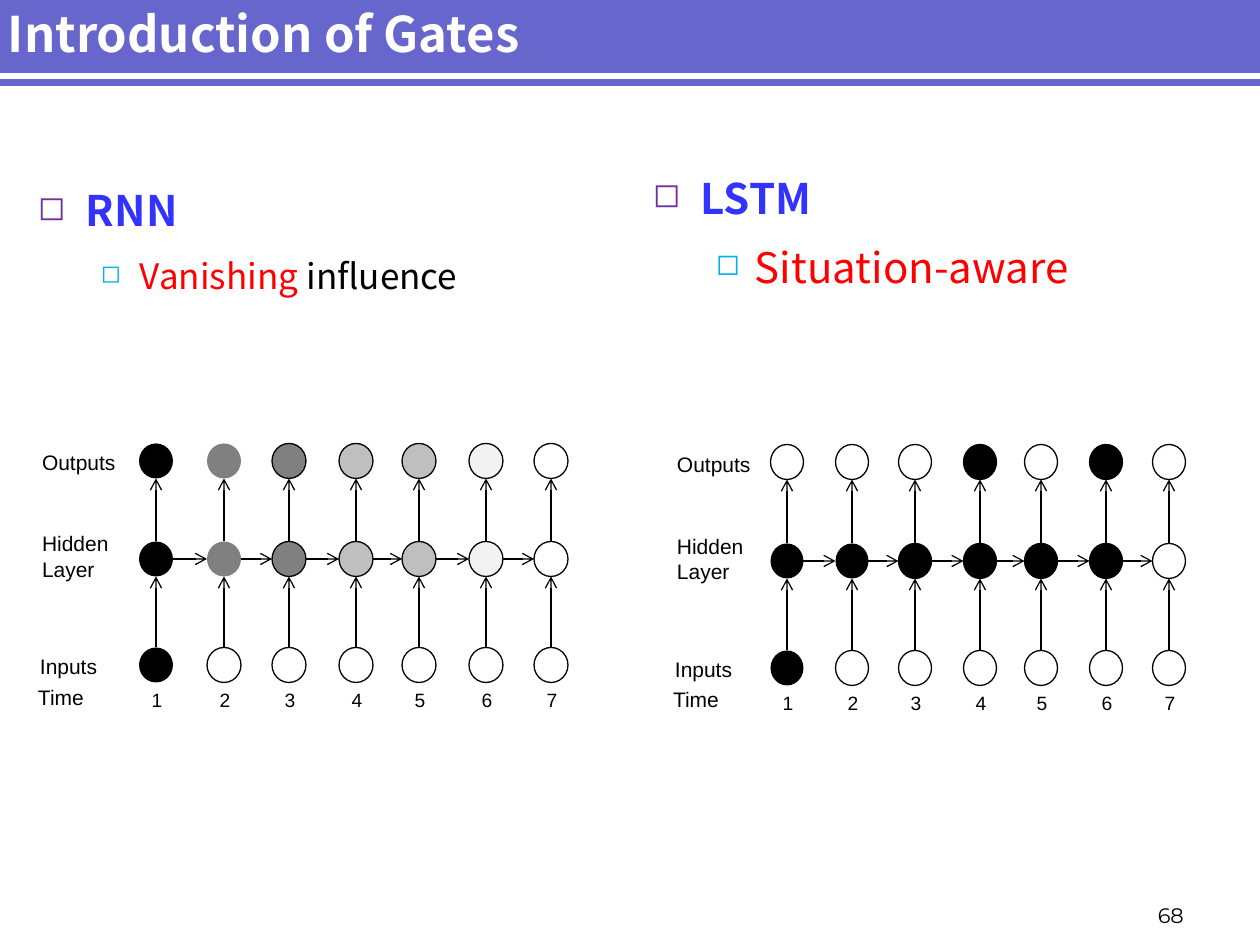
import pptx
import pptx.util
import pptx.dml.color
import pptx.oxml.ns
import pptx.enum.shapes
import pptx.enum.text
from lxml import etree

SCALE = 914400 / 126
SANS = "Noto Sans CJK SC"
SHAPE = pptx.enum.shapes.MSO_SHAPE
ALIGN = pptx.enum.text.PP_ALIGN
ANCHOR = pptx.enum.text.MSO_ANCHOR
BLACK, WHITE, RED, BAND = "000000", "FFFFFF", "FF0000", "6666CC"
NODE = 35
GREYS = [BLACK, "808080", "808080", "BFBFBF", "BFBFBF", "F2F2F2", WHITE]


def px(*vals):
    """Turn pixel lengths into EMU."""
    return [pptx.util.Emu(round(v * SCALE)) for v in vals]


def color(code):
    return pptx.dml.color.RGBColor.from_string(code)


def sub(parent, tag, **attrs):
    """Append an element of the drawing namespace."""
    return etree.SubElement(parent, pptx.oxml.ns.qn("a:" + tag), attrs)


def write(par, text, size=12, font="Arial", hue=BLACK, bold=False):
    run = par.add_run()
    run.text = text
    run.font.size = pptx.util.Pt(size)
    run.font.name = font
    run.font.bold = bold
    run.font.color.rgb = color(hue)
    for tag in ("ea", "sym"):
        sub(run.font._element, tag, typeface=font)


def setup(frame, side=13, edge=6, anchor=ANCHOR.TOP):
    """Set wrapping, insets and anchor of a text frame."""
    frame.word_wrap = True
    frame.auto_size = pptx.enum.text.MSO_AUTO_SIZE.NONE
    frame.margin_left, frame.margin_right = px(side, side)
    frame.margin_top, frame.margin_bottom = px(edge, edge)
    frame.vertical_anchor = anchor


def label(shapes, text, area, align=ALIGN.LEFT, side=13, anchor=ANCHOR.TOP, **look):
    frame = shapes.add_textbox(*px(*area)).text_frame
    setup(frame, side=side, anchor=anchor)
    par = frame.paragraphs[0]
    par.alignment = align
    write(par, text, **look)


def bullet(par, hue, size, left, hang):
    props = par._p.get_or_add_pPr()
    props.set("marL", str(px(left)[0]))
    props.set("indent", str(px(-hang)[0]))
    sub(sub(props, "buClr"), "srgbClr", val=hue)
    sub(props, "buSzPct", val=str(size * 1000))
    sub(props, "buChar", char="◻")


def points(shapes, area, head, runs, size):
    """Add a bulleted heading with one sub-point made of coloured runs."""
    frame = shapes.add_textbox(*px(*area)).text_frame
    setup(frame, side=0, edge=0)
    top, item = frame.paragraphs[0], frame.add_paragraph()
    bullet(top, "7030A0", 80, 48, 48)
    top.space_after = pptx.util.Pt(11)
    write(top, head, size=24, font=SANS, hue="3333FF", bold=True)
    item.level = 1
    bullet(item, "00B0F0", 70, 102, 39)
    for text, hue in runs:
        write(item, text, size=size, font=SANS, hue=hue)


def line(shapes, ends, hue=BLACK, width=0.75, arrow=True):
    link = shapes.add_connector(pptx.enum.shapes.MSO_CONNECTOR.STRAIGHT, *px(*ends))
    link.line.color.rgb = color(hue)
    link.line.width = pptx.util.Pt(width)
    if arrow:
        sub(link.line._get_or_add_ln(), "tailEnd", type="arrow")
    sub(link._element.spPr, "effectLst")


def solid(shapes, kind, area, fill=None, edge=None):
    shape = shapes.add_shape(kind, *px(*area))
    shape.shadow.inherit = False
    if fill:
        shape.fill.solid()
        shape.fill.fore_color.rgb = color(fill)
    else:
        shape.fill.background()
    if edge:
        shape.line.color.rgb = color(edge)
        shape.line.width = pptx.util.Pt(0.75)
    else:
        shape.line.fill.background()


def network(slide, left, wide, cols, rows, fills):
    """Draw an unrolled network: outputs, hidden layer and inputs over time."""
    shapes = slide.shapes.add_group_shape().shapes
    half, tall = wide / 2, NODE / 2
    for y, row in zip(rows, fills):
        for i, (x, fill) in enumerate(zip(cols, row)):
            edge = None if fill and i < 2 else BLACK
            solid(shapes, SHAPE.FLOWCHART_CONNECTOR,
                  (x - half, y - tall, wide, NODE), fill, edge)
    for x in cols:
        for high, low in zip(rows, rows[1:]):
            line(shapes, (x, low - tall, x, high + tall))
    for x, after in zip(cols, cols[1:]):
        line(shapes, (x + half, rows[1], after - half, rows[1]))
    for i, x in enumerate(cols, 1):
        label(shapes, str(i), (x + 1 - half, rows[2] + 17, wide, 39),
              align=ALIGN.CENTER, side=0, size=11)
    out, mid, base = rows
    for text, x, y, tall in (("Outputs", 4, out - 17, 42), ("Hidden Layer", 4, mid - 34, 71),
                             ("Inputs", 2, base - 17, 42), ("Time", 0, base + 13, 42)):
        label(shapes, text, (left + x, y, 121, tall))


def header(slide, text):
    shapes = slide.shapes
    solid(shapes, SHAPE.RECTANGLE, (-5, -4, 1265, 90), BAND)
    line(shapes, (-5, 76, 1260, 76), hue=WHITE, width=3, arrow=False)
    title = shapes.title
    title.left, title.top, title.width, title.height = px(-5, 6, 1105, 54)
    setup(title.text_frame, anchor=ANCHOR.MIDDLE)
    par = title.text_frame.paragraphs[0]
    par.alignment = ALIGN.LEFT
    write(par, text, size=28, font=SANS, hue=WHITE, bold=True)
    title.element.getparent().append(title.element)


def main():
    deck = pptx.Presentation()
    deck.slide_width, deck.slide_height = px(1260, 945)
    slide = deck.slides.add_slide(deck.slide_layouts[5])
    header(slide, "Introduction of Gates")
    points(slide.shapes, (38, 185, 570, 160), "RNN",
           [("Vanishing", RED), (" influence", BLACK)], 20)
    points(slide.shapes, (653, 172, 570, 160), "LSTM", [("Situation-aware", RED)], 24)
    first = [BLACK] + [None] * 6
    network(slide, 25, 34, [156, 224, 289, 356, 419, 486, 551], [461, 559, 665],
            [GREYS, GREYS, first])
    gated = [None, None, None, BLACK, None, BLACK, None]
    network(slide, 660, 33, [787, 852, 915, 980, 1041, 1106, 1169], [462, 561, 668],
            [gated, [BLACK] * 6 + [WHITE], first])
    label(slide.shapes, "68", (1086, 890, 111, 44), align=ALIGN.RIGHT,
          anchor=ANCHOR.BOTTOM, font="Montserrat")
    deck.save("out.pptx")


if __name__ == "__main__":
    main()
